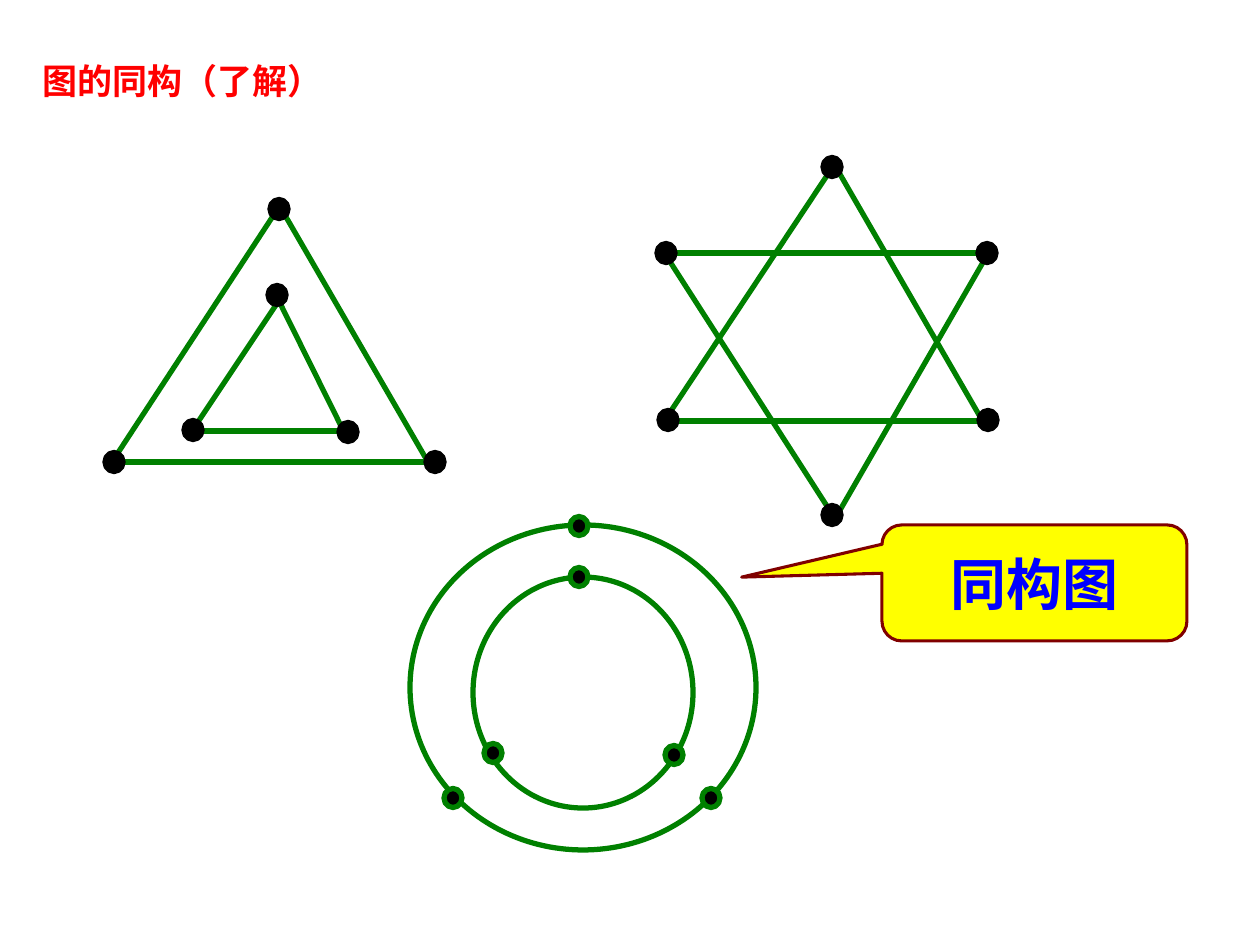
from dataclasses import dataclass

from lxml import etree
from pptx import Presentation
from pptx import util as u
from pptx.dml.color import RGBColor
from pptx.enum import shapes, text
from pptx.oxml import ns

PX = u.Inches(1) / 126
NODE_WIDTH, NODE_HEIGHT = 18, 19


@dataclass(frozen=True)
class Theme:
    font: str = "Noto Sans CJK SC"
    title: str = "FF0000"
    edge: str = "008000"
    node: str = "000000"
    callout_fill: str = "FFFF00"
    callout_line: str = "800000"
    callout_text: str = "0000FF"
    title_size: int = 20
    callout_size: int = 32
    edge_width: float = 3
    callout_width: float = 1.75


@dataclass(frozen=True)
class Graph:
    """Edges as (x1, y1, x2, y2), rings as (left, top, width, height), nodes as centres."""
    nodes: tuple
    node_line: str
    edges: tuple = ()
    rings: tuple = ()


THEME = Theme()
STAR = Graph(
    edges=((832, 514, 667, 257), (982, 420, 837, 169), (989, 252, 832, 524),
           (670, 253, 989, 253), (665, 420, 832, 168), (672, 421, 990, 421)),
    nodes=((987, 253), (666, 253), (988, 420), (668, 420), (832, 167), (832, 515)),
    node_line=THEME.node,
)
TRIANGLES = Graph(
    edges=((192, 431, 276, 305), (428, 462, 282, 210), (276, 295, 349, 442),
           (192, 431, 349, 431), (112, 462, 277, 210), (118, 462, 436, 462)),
    nodes=((348, 432), (277, 295), (435, 462), (114, 462), (279, 209), (193, 430)),
    node_line=THEME.node,
)
CIRCLES = Graph(
    rings=((473, 577, 220, 231), (410, 525, 346, 325)),
    nodes=((674, 755), (579, 577), (711, 798), (453, 798), (579, 526), (493, 753)),
    node_line=THEME.edge,
)


def emu(*lengths: float) -> list[int]:
    return [round(length * PX) for length in lengths]


def set_line(line, color: str, width: float) -> None:
    line.color.rgb = RGBColor.from_string(color)
    line.width = u.Pt(width)


def set_fill(shape, color: str) -> None:
    shape.fill.solid()
    shape.fill.fore_color.rgb = RGBColor.from_string(color)


def set_text(shape, words: str, size: int, color: str, align) -> None:
    frame = shape.text_frame
    frame.text = words
    frame.vertical_anchor = text.MSO_ANCHOR.MIDDLE
    para = frame.paragraphs[0]
    para.alignment = align
    span = para.runs[0]
    span.font.name = THEME.font
    span.font.size = u.Pt(size)
    span.font.bold = True
    span.font.color.rgb = RGBColor.from_string(color)
    east_asian = etree.SubElement(span.font._element, ns.qn("a:ea"))
    east_asian.set("typeface", THEME.font)


def draw_edge(group, ends: tuple) -> None:
    edge = group.shapes.add_connector(shapes.MSO_CONNECTOR.STRAIGHT, *emu(*ends))
    set_line(edge.line, THEME.edge, THEME.edge_width)
    etree.SubElement(edge._element.spPr, ns.qn("a:effectLst"))


def draw_ellipse(group, bounds: tuple, line: str, fill: str | None = None) -> None:
    ellipse = group.shapes.add_shape(shapes.MSO_SHAPE.OVAL, *emu(*bounds))
    ellipse.shadow.inherit = False
    set_line(ellipse.line, line, THEME.edge_width)
    if fill:
        set_fill(ellipse, fill)
    else:
        ellipse.fill.background()


def draw_graph(page, graph: Graph) -> None:
    group = page.shapes.add_group_shape()
    for ends in graph.edges:
        draw_edge(group, ends)
    for bounds in graph.rings:
        draw_ellipse(group, bounds, THEME.edge)
    for x, y in graph.nodes:
        bounds = (x - NODE_WIDTH / 2, y - NODE_HEIGHT / 2, NODE_WIDTH, NODE_HEIGHT)
        draw_ellipse(group, bounds, graph.node_line, THEME.node)


def draw_title(page) -> None:
    title = page.shapes.title
    title.left, title.top, title.width, title.height = emu(30, 53, 348, 54)
    set_text(title, "图的同构（了解）", THEME.title_size, THEME.title, text.PP_ALIGN.LEFT)
    title.text_frame.word_wrap = False


def draw_callout(page) -> None:
    callout = page.shapes.add_shape(
        shapes.MSO_SHAPE.ROUNDED_RECTANGULAR_CALLOUT, *emu(882, 525, 305, 116))
    callout.shadow.inherit = False
    for index, value in enumerate((-0.96, -0.05, 0.17)):
        callout.adjustments[index] = value
    set_fill(callout, THEME.callout_fill)
    set_line(callout.line, THEME.callout_line, THEME.callout_width)
    set_text(callout, "同构图", THEME.callout_size, THEME.callout_text, text.PP_ALIGN.CENTER)


def main() -> None:
    deck = Presentation()
    deck.slide_width, deck.slide_height = emu(1260, 945)
    page = deck.slides.add_slide(deck.slide_layouts.get_by_name("Title Only"))
    draw_title(page)
    for graph in (STAR, TRIANGLES, CIRCLES):
        draw_graph(page, graph)
    draw_callout(page)
    deck.save("out.pptx")


if __name__ == "__main__":
    main()
